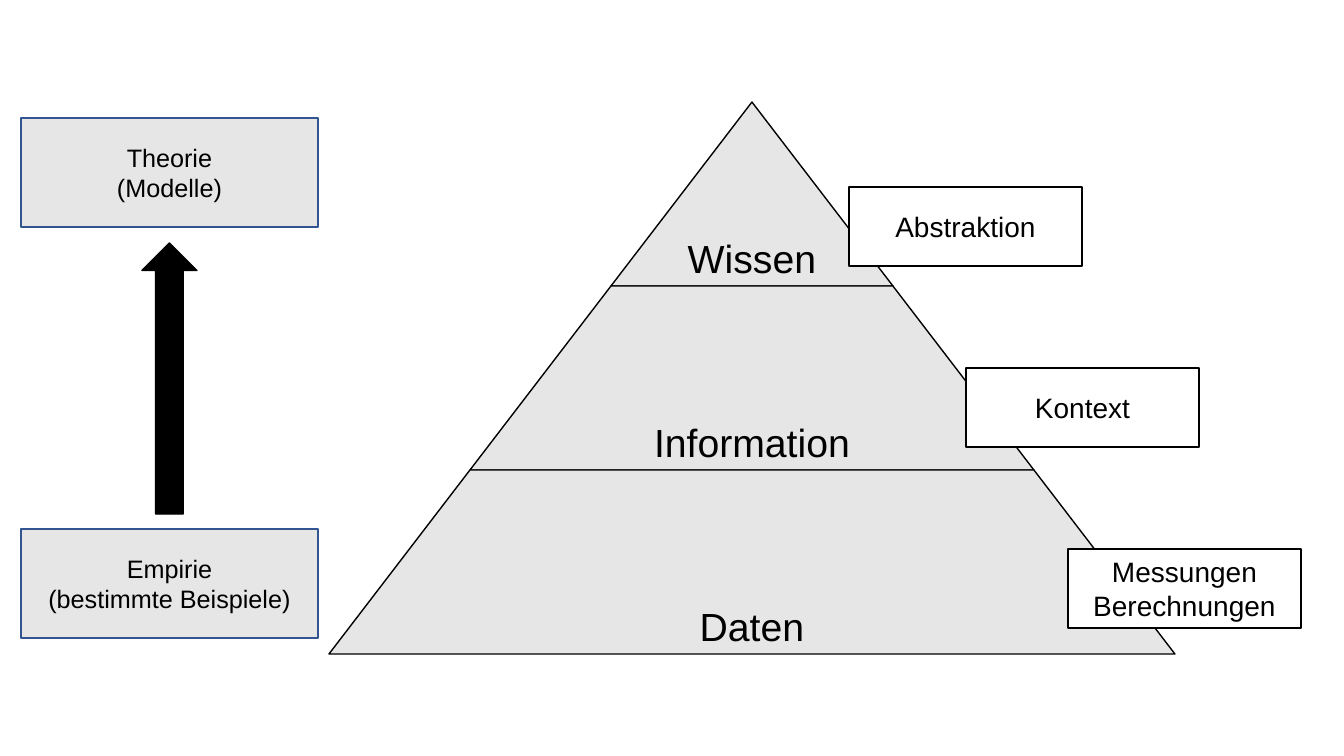
"""Build the knowledge pyramid slide: data, information and knowledge."""
from pptx import Presentation
from pptx import util as u
from pptx.dml import color
from pptx.enum import shapes, text

COLORS = {"grey": "E7E6E6", "white": "FFFFFF", "black": "000000", "blue": "325491"}
PIXEL = 914400 / 100.8
FORM = shapes.MSO_SHAPE


def px(pixels):
    return u.Emu(round(pixels * PIXEL))


def rgb(name):
    return color.RGBColor.from_string(COLORS[name])


class Sketch:
    """Hold the style and the current slide."""

    font = "Arial"

    def __init__(self, slide):
        self.slide = slide

    def form(self, kind, frame, fill, line):
        figure = self.slide.shapes.add_shape(kind, *map(px, frame))
        figure.shadow.inherit = False
        figure.fill.solid()
        figure.fill.fore_color.rgb = rgb(fill)
        figure.line.color.rgb = rgb(line)
        figure.line.width = u.Pt(1)
        return figure

    def label(self, figure, lines, size, anchor=text.MSO_ANCHOR.MIDDLE, spacing=None):
        frame = figure.text_frame
        frame.vertical_anchor = anchor
        for number, words in enumerate(lines):
            paragraph = frame.add_paragraph() if number else frame.paragraphs[0]
            paragraph.alignment = text.PP_ALIGN.CENTER
            paragraph.line_spacing = spacing
            run = paragraph.add_run()
            run.text = words
            run.font.name = self.font
            run.font.size = u.Pt(size)
            run.font.color.rgb = rgb("black")
        return frame

    def box(self, frame, lines, size, fill, line):
        self.label(self.form(FORM.RECTANGLE, frame, fill, line), lines, size).word_wrap = True

    def tier(self, frame, name, slope):
        step = self.form(FORM.TRAPEZOID, frame, "grey", "black")
        step.adjustments[0] = slope
        words = self.label(step, [name], 28, text.MSO_ANCHOR.BOTTOM, 0.9)
        words.word_wrap = False
        words.margin_left = words.margin_right = words.margin_top = words.margin_bottom = px(4)

    def arrow(self, frame):
        self.form(FORM.UP_ARROW, frame, "black", "black")


deck = Presentation()
deck.slide_width, deck.slide_height = px(1344), px(756)
sketch = Sketch(deck.slides.add_slide(deck.slide_layouts[6]))

AXIS, APEX, TIER_HEIGHT, HALF_STEP = 752, 102, 184, 141
for level, name in enumerate(["Wissen", "Information", "Daten"]):
    half = HALF_STEP * (level + 1)
    frame = (AXIS - half, APEX + level * TIER_HEIGHT, 2 * half, TIER_HEIGHT)
    sketch.tier(frame, name, HALF_STEP / TIER_HEIGHT)

for left, top, lines in [
    (849, 187, ["Abstraktion"]),
    (966, 368, ["Kontext"]),
    (1068, 549, ["Messungen", "Berechnungen"]),
]:
    sketch.box((left, top, 233, 79), lines, 20, "white", "black")

for top, lines in [
    (529, ["Empirie", "(bestimmte Beispiele)"]),
    (118, ["Theorie", "(Modelle)"]),
]:
    sketch.box((21, top, 297, 109), lines, 18, "grey", "blue")
sketch.arrow((142, 243, 55, 271))

deck.save("out.pptx")
